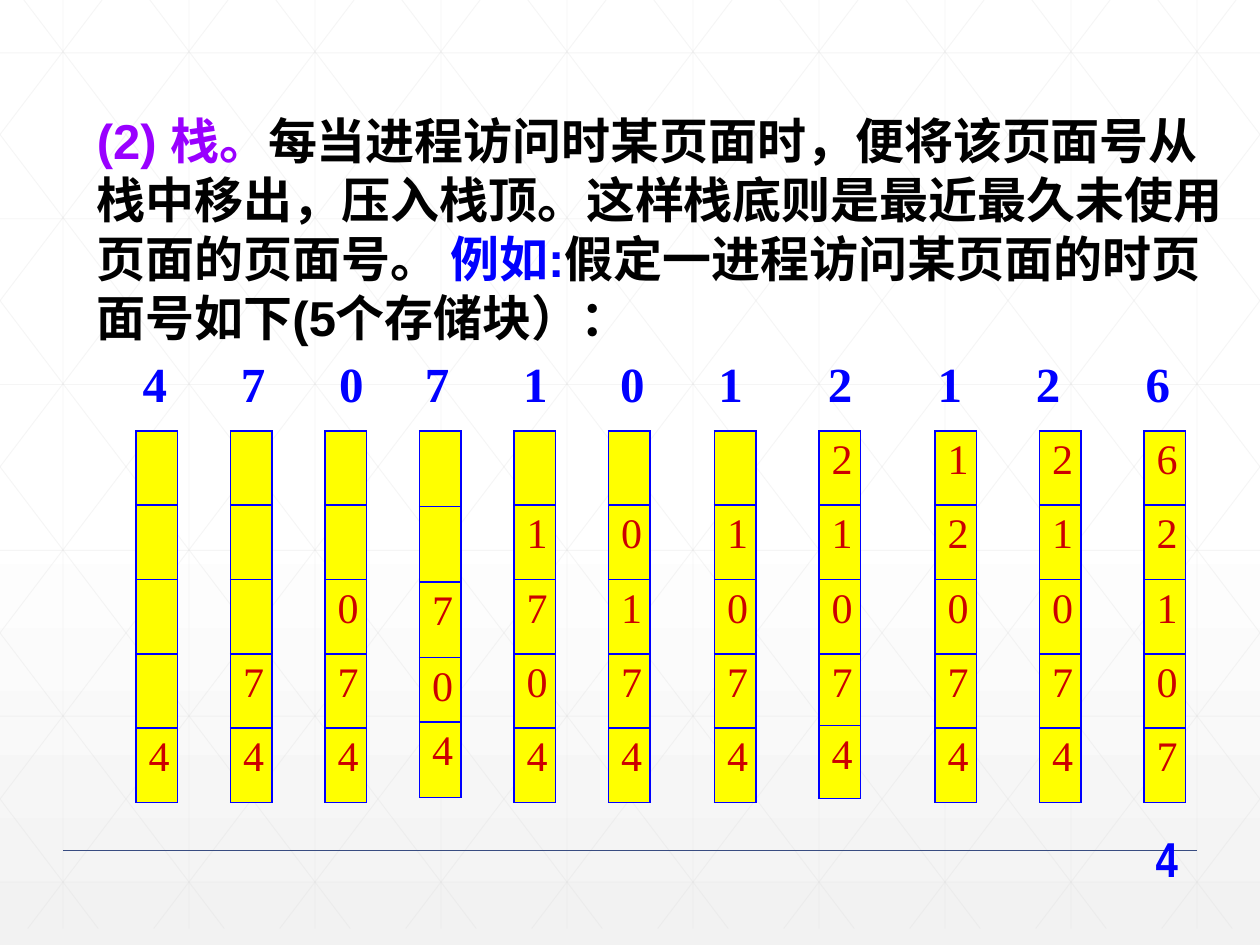
from lxml import etree
from pptx import Presentation
from pptx.dml.color import RGBColor
from pptx.enum import shapes, text
from pptx.oxml import ns
from pptx.util import Inches, Pt

BLUE, BLACK, PURPLE = "0000FF", "000000", "9900FF"
YELLOW, RED, GRID, RULE = "FFFF00", "CC0000", "D9D9D9", "384C81"
SERIF = "Times New Roman"
EVEN_ROWS = [0.59] * 5
STACKS = [
    (1.08, "    4", EVEN_ROWS),
    (1.83, "   74", EVEN_ROWS),
    (2.58, "  074", EVEN_ROWS),
    (3.33, "  704", [0.6, 0.6, 0.6, 0.51, 0.6]),
    (4.08, " 1704", EVEN_ROWS),
    (4.83, " 0174", EVEN_ROWS),
    (5.67, " 1074", EVEN_ROWS),
    (6.5, "21074", [0.59, 0.59, 0.59, 0.57, 0.58]),
    (7.42, "12074", EVEN_ROWS),
    (8.25, "21074", EVEN_ROWS),
    (9.08, "62107", EVEN_ROWS),
]
REQUESTS = "47071012126"
REQUEST_TABS = [0.38, 1.16, 1.94, 2.62, 3.4, 4.17, 4.95, 5.82, 6.69, 7.47, 8.34]


def colour(value):
    return RGBColor.from_string(value)


def child(parent, tag, **attributes):
    return etree.SubElement(parent, ns.qn(tag), attributes)


def add_span(para, words, size, face, ink, bold=True):
    span = para.add_run()
    span.text = words
    span.font.size = Pt(size)
    span.font.name = face
    span.font.bold = bold
    span.font.color.rgb = colour(ink)


def add_text_box(page, left, top, width, height, wrap=True):
    box = page.shapes.add_textbox(Inches(left), Inches(top), Inches(width), Inches(height))
    box.text_frame.word_wrap = wrap
    box.text_frame.auto_size = text.MSO_AUTO_SIZE.SHAPE_TO_FIT_TEXT
    return box.text_frame.paragraphs[0]


def add_line(page, start, end, ink, weight, opacity=None):
    line = page.shapes.add_connector(
        shapes.MSO_CONNECTOR.STRAIGHT, *[Inches(value) for value in (*start, *end)])
    line.line.color.rgb = colour(ink)
    line.line.width = Pt(weight)
    if opacity is not None:
        for tint in line.line._ln.iter(ns.qn("a:srgbClr")):
            child(tint, "a:alpha", val=str(opacity * 1000))
    child(line._element.spPr, "a:effectLst")


def add_background(page, width, height):
    fill = page.background.fill
    fill.gradient()
    fill.gradient_angle = 270
    for stop, (position, ink) in zip(fill.gradient_stops, [(0.53, "FFFFFF"), (1, "F2F2F2")]):
        stop.position = position
        stop.color.rgb = colour(ink)

    lines = [((0.5 + i, 0), (0.5 + i, height)) for i in range(10)]
    lines += [((0, 0.42 + 1.316 * i), (width, 0.42 + 1.316 * i)) for i in range(6)]
    run = 5.59
    slope = height / run
    for i in range(-5, 10):
        origin = 0.19 + i
        left, right = max(origin, 0), min(origin + run, width)
        top, bottom = slope * (left - origin), slope * (right - origin)
        lines.append(((left, top), (right, bottom)))
        lines.append(((width - left, top), (width - right, bottom)))
    for start, end in lines:
        add_line(page, start, end, GRID, 0.5, 25)
    add_line(page, (0.5, 6.75), (9.5, 6.75), RULE, 1)


def add_explanation(page, left, top, width, height):
    para = add_text_box(page, left, top, width, height)
    for words, ink in [
        ("(2) 栈。", PURPLE),
        ("每当进程访问时某页面时，便将该页面号从栈中移出，压入栈顶。"
         "这样栈底则是最近最久未使用页面的页面号。 ", BLACK),
        ("例如:", BLUE),
        ("假定一进程访问某页面的时页面号如下(5个存储块）：", BLACK),
    ]:
        add_span(para, words, 28, "Arial", ink)


def add_requests(page, left, top, width, height):
    para = add_text_box(page, left, top, width, height)
    tabs = child(para._p.get_or_add_pPr(), "a:tabLst")
    for position in REQUEST_TABS:
        child(tabs, "a:tab", pos=str(Inches(position)), algn="ctr")
    add_span(para, "".join("\t" + number for number in REQUESTS), 28, SERIF, BLUE)


def add_borders(cell):
    properties = cell._tc.get_or_add_tcPr()
    for side in ("a:lnL", "a:lnR", "a:lnT", "a:lnB"):
        border = child(properties, side, w=str(Pt(1)))
        child(child(border, "a:solidFill"), "a:srgbClr", val=BLUE)


def add_stack(page, left, top, width, numbers, heights):
    table = page.shapes.add_table(
        len(heights), 1, Inches(left), Inches(top), Inches(width), Inches(sum(heights))).table
    table.first_row = table.horz_banding = False
    table.columns[0].width = Inches(width)
    for row, number, height in zip(table.rows, numbers, heights):
        row.height = Inches(height)
        cell = row.cells[0]
        add_borders(cell)
        cell.fill.solid()
        cell.fill.fore_color.rgb = colour(YELLOW)
        if number.strip():
            add_span(cell.text_frame.paragraphs[0], number, 24, SERIF, RED, False)


def add_page_number(page, left, top, width, height):
    para = add_text_box(page, left, top, width, height, wrap=False)
    para.alignment = text.PP_ALIGN.CENTER
    add_span(para, "4", 28, "Arial Narrow", BLUE)


def main():
    deck = Presentation()
    deck.slide_width, deck.slide_height = Inches(10), Inches(7.5)
    page = deck.slides.add_slide(deck.slide_layouts[6])
    add_background(page, 10, 7.37)
    add_explanation(page, 0.67, 0.83, 9.17, 1.97)
    add_requests(page, 0.75, 2.76, 8.83, 0.57)
    for left, numbers, heights in STACKS:
        add_stack(page, left, 3.42, 0.33, numbers, heights)
    add_page_number(page, 9.07, 6.53, 0.38, 0.57)
    deck.save("out.pptx")


if __name__ == "__main__":
    main()
